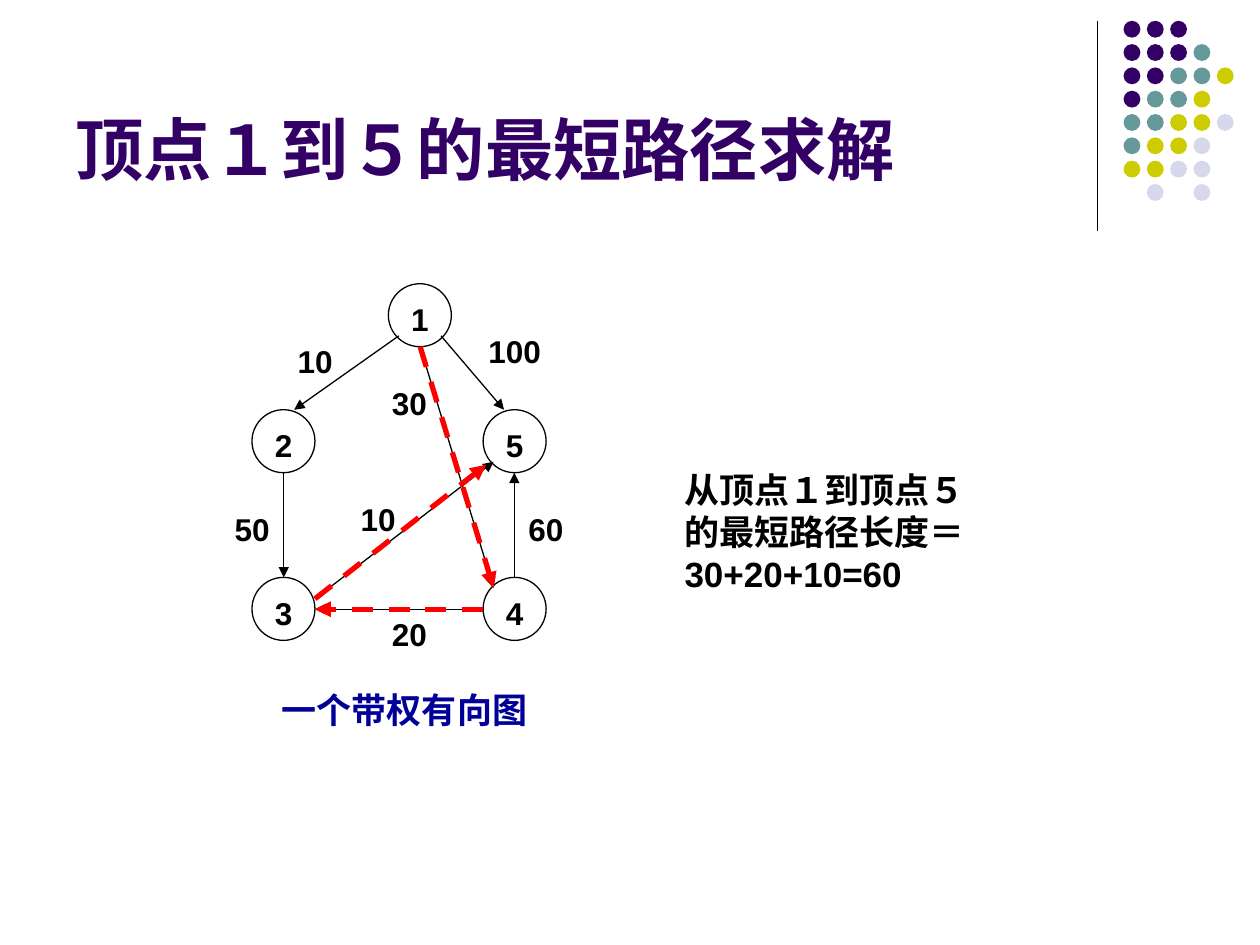
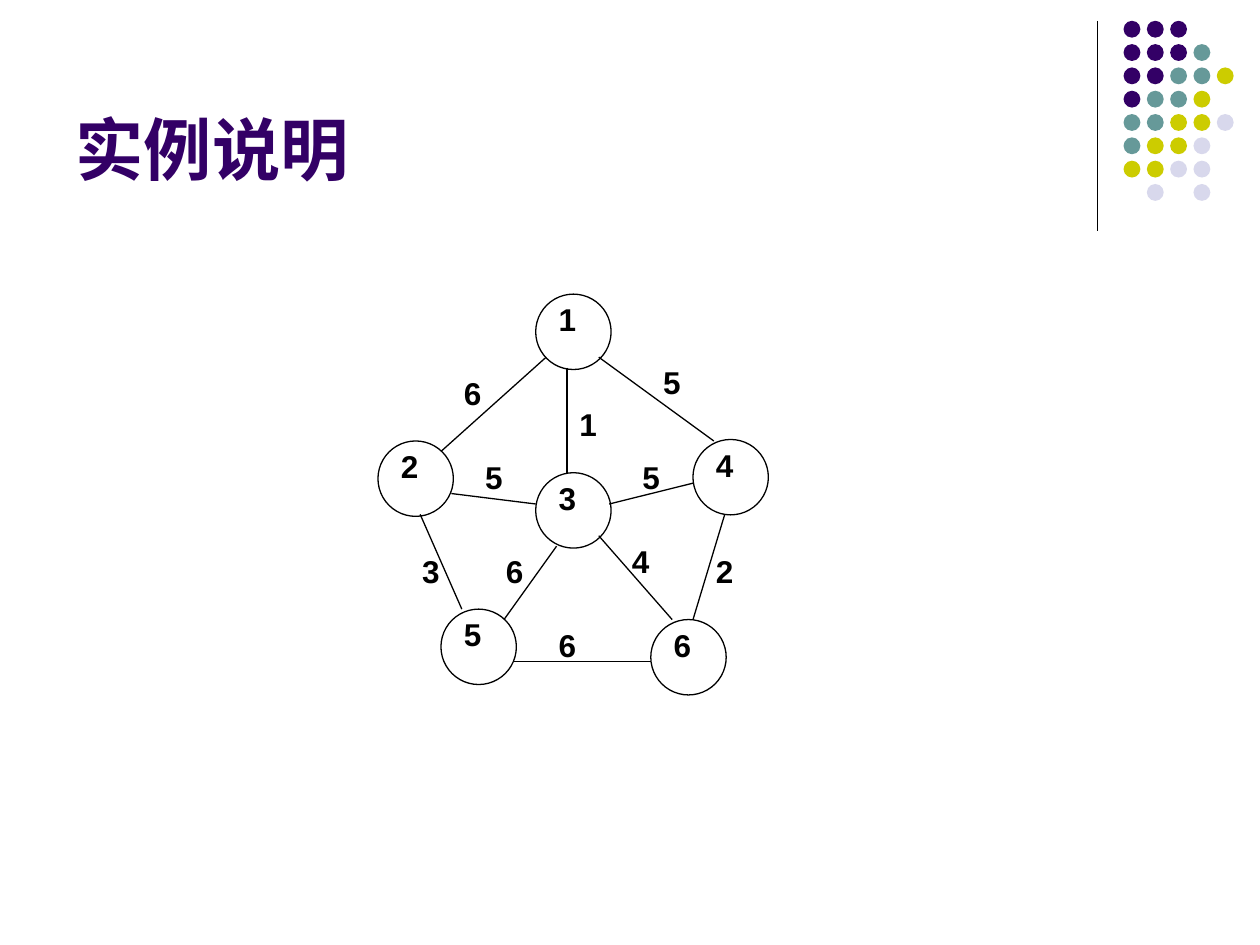
"""Build two slides on shortest paths and a weighted graph."""
import pptx
import pptx.dml.color
import pptx.enum.dml
import pptx.enum.shapes
import pptx.enum.text
import pptx.oxml
import pptx.oxml.ns
import pptx.util

Cm = pptx.util.Cm
Pt = pptx.util.Pt
OVAL = pptx.enum.shapes.MSO_SHAPE.OVAL
STRAIGHT = pptx.enum.shapes.MSO_CONNECTOR.STRAIGHT
DASH = pptx.enum.dml.MSO_LINE.DASH
ANCHOR = pptx.enum.text.MSO_ANCHOR
LEFT = pptx.enum.text.PP_ALIGN.LEFT
CENTER = pptx.enum.text.PP_ALIGN.CENTER
qn = pptx.oxml.ns.qn
nsdecls = pptx.oxml.ns.nsdecls

BLACK, WHITE, RED, NAVY = "000000", "FFFFFF", "FF0000", "000099"
PURPLE = "330066"
DOT_COLOURS = {"P": PURPLE, "T": "669999", "Y": "CCCC00", "L": "D8D8EC"}
DOT_ROWS = ["PPP", "PPPT", "PPTTY", "PTTY", "TTYYL", "TYYL", "YYLL", " L L"]

ROUTE = [
    (8.47, 6.99, 9.95, 11.85),
    (9.74, 12.28, 6.35, 12.28),
    (6.35, 12.07, 9.8, 9.37),
]
GRAPHS = [
    {
        "title": "顶点１到５的最短路径求解",
        "diameter": 1.27, "fill": None, "number_drop": 0.21, "number_width": 1.06,
        "nodes": [("1", 7.83, 5.72), ("2", 5.08, 8.26), ("3", 5.08, 11.64),
                  ("5", 9.74, 8.26), ("4", 9.74, 11.64)],
        "arrow": True,
        "edges": [(8.04, 6.77, 5.93, 8.26), (8.47, 6.99, 9.95, 11.85),
                  (8.89, 6.77, 10.16, 8.26), (10.37, 11.64, 10.37, 9.53),
                  (5.72, 9.53, 5.72, 11.64), (6.35, 12.07, 9.95, 9.31),
                  (9.74, 12.28, 6.35, 12.28)],
        "route": ROUTE,
        "weight_width": 1.27, "weight_align": CENTER,
        "weights": [("10", 5.72, 6.77), ("50", 4.45, 10.16), ("10", 6.99, 9.95),
                    ("30", 7.62, 7.62), ("60", 10.37, 10.16), ("20", 7.62, 12.28)],
        "notes": [("100", 9.53, 6.56, 1.69, 1.02, 18, BLACK, CENTER),
                  ("一个带权有向图", 4.45, 13.76, 7.41, 1.09, 20, NAVY, CENTER),
                  ("从顶点１到顶点５的最短路径长度＝30+20+10=60",
                   13.55, 9.31, 6.77, 2.79, 20, BLACK, LEFT)],
    },
    {
        "title": "实例说明",
        "diameter": 1.52, "fill": WHITE, "number_drop": 0, "number_width": 1.23,
        "nodes": [("1", 10.8, 5.93), ("2", 7.62, 8.89), ("4", 13.97, 8.86),
                  ("6", 13.12, 12.49), ("5", 8.89, 12.28), ("3", 10.8, 9.53)],
        "arrow": False,
        "edges": [(11.01, 7.2, 8.89, 9.1), (8.47, 10.37, 9.31, 12.28),
                  (11.43, 7.41, 11.43, 9.53), (12.07, 7.2, 14.39, 8.89),
                  (14.61, 10.37, 13.97, 12.49), (10.37, 13.34, 13.12, 13.34),
                  (11.22, 11.01, 10.16, 12.49), (12.07, 10.8, 13.55, 12.49),
                  (9.1, 9.95, 10.8, 10.16), (12.28, 10.16, 13.97, 9.74)],
        "route": [],
        "weight_width": 0.85, "weight_align": LEFT,
        "weights": [("6", 9.1, 7.41), ("5", 13.12, 7.2), ("5", 12.7, 9.1),
                    ("5", 9.53, 9.1), ("6", 9.95, 11.01), ("6", 11.01, 12.49),
                    ("1", 11.43, 8.04), ("3", 8.26, 11.01), ("4", 12.49, 10.8),
                    ("2", 14.18, 11.01)],
        "notes": [],
    },
]


def paint(fill, colour):
    fill.solid()
    fill.fore_color.rgb = pptx.dml.color.RGBColor.from_string(colour)


def write(sp, text, size, colour, align, anchor=ANCHOR.TOP):
    tf = sp.text_frame
    tf.word_wrap = True
    tf.vertical_anchor = anchor
    p = tf.paragraphs[0]
    p.alignment = align
    r = p.add_run()
    r.text = text
    for name, value in {"name": "Arial", "size": Pt(size), "bold": True}.items():
        setattr(r.font, name, value)
    paint(r.font.fill, colour)


prs = pptx.Presentation()
prs.slide_width, prs.slide_height = Cm(25.4), Cm(19.05)
master_tree = prs.slide_master.element.cSld.spTree

for graph in GRAPHS:
    s = prs.slides.add_slide(prs.slide_layouts[5])
    title = s.shapes.title
    box = {"left": 1.27, "top": 0.33, "width": 20.96, "height": 3.61}
    for name, value in box.items():
        setattr(title, name, Cm(value))
    write(title, graph["title"], 39, PURPLE, LEFT, ANCHOR.BOTTOM)

    shapes = s.shapes.add_group_shape().shapes
    d = Cm(graph["diameter"])
    labels = list(graph["notes"])
    for number, x, y in graph["nodes"]:
        sp = shapes.add_shape(OVAL, Cm(x), Cm(y), d, d)
        sp.shadow.inherit = False
        sp.line.width = Pt(0.75)
        paint(sp.line.fill, BLACK)
        if graph["fill"]:
            paint(sp.fill, graph["fill"])
        else:
            sp.fill.background()
        labels.append((number, x + 0.21, y + graph["number_drop"],
                       graph["number_width"], 1.02, 18, BLACK, LEFT))

    for weight, x, y in graph["weights"]:
        labels.append((weight, x, y, graph["weight_width"], 1.02, 18, BLACK,
                       graph["weight_align"]))
    for text, x, y, w, h, size, colour, align in labels:
        sp = shapes.add_textbox(Cm(x), Cm(y), Cm(w), Cm(h))
        write(sp, text, size, colour, align)

    lines = [(ends, BLACK, 0.75, None, graph["arrow"]) for ends in graph["edges"]]
    lines += [(ends, RED, 3, DASH, True) for ends in graph["route"]]
    if s is prs.slides[0] or len(prs.slides) == 1:
        lines.append(((22.12, 0.42, 22.12, 4.66), BLACK, 0.75, None, False))
    for ends, colour, width, dash, arrow in lines:
        c = shapes.add_connector(STRAIGHT, *[Cm(v) for v in ends])
        paint(c.line.fill, colour)
        c.line.width = Pt(width)
        c.line.dash_style = dash
        spPr = c.element.spPr
        if arrow:
            spPr.find(qn("a:ln")).append(pptx.oxml.parse_xml(
                f'<a:tailEnd {nsdecls("a")} type="triangle"/>'))
        spPr.append(pptx.oxml.parse_xml(f'<a:effectLst {nsdecls("a")}/>'))
    if len(prs.slides) == 1:
        master_tree.append(c.element)
        for row, dots in enumerate(DOT_ROWS):
            for col, key in enumerate(dots):
                if key in DOT_COLOURS:
                    sp = s.shapes.add_shape(OVAL, Cm(22.65 + 0.47 * col),
                                            Cm(0.42 + 0.47 * row), Cm(0.34), Cm(0.34))
                    sp.shadow.inherit = False
                    sp.line.fill.background()
                    paint(sp.fill, DOT_COLOURS[key])
                    master_tree.append(sp.element)

prs.save("out.pptx")
